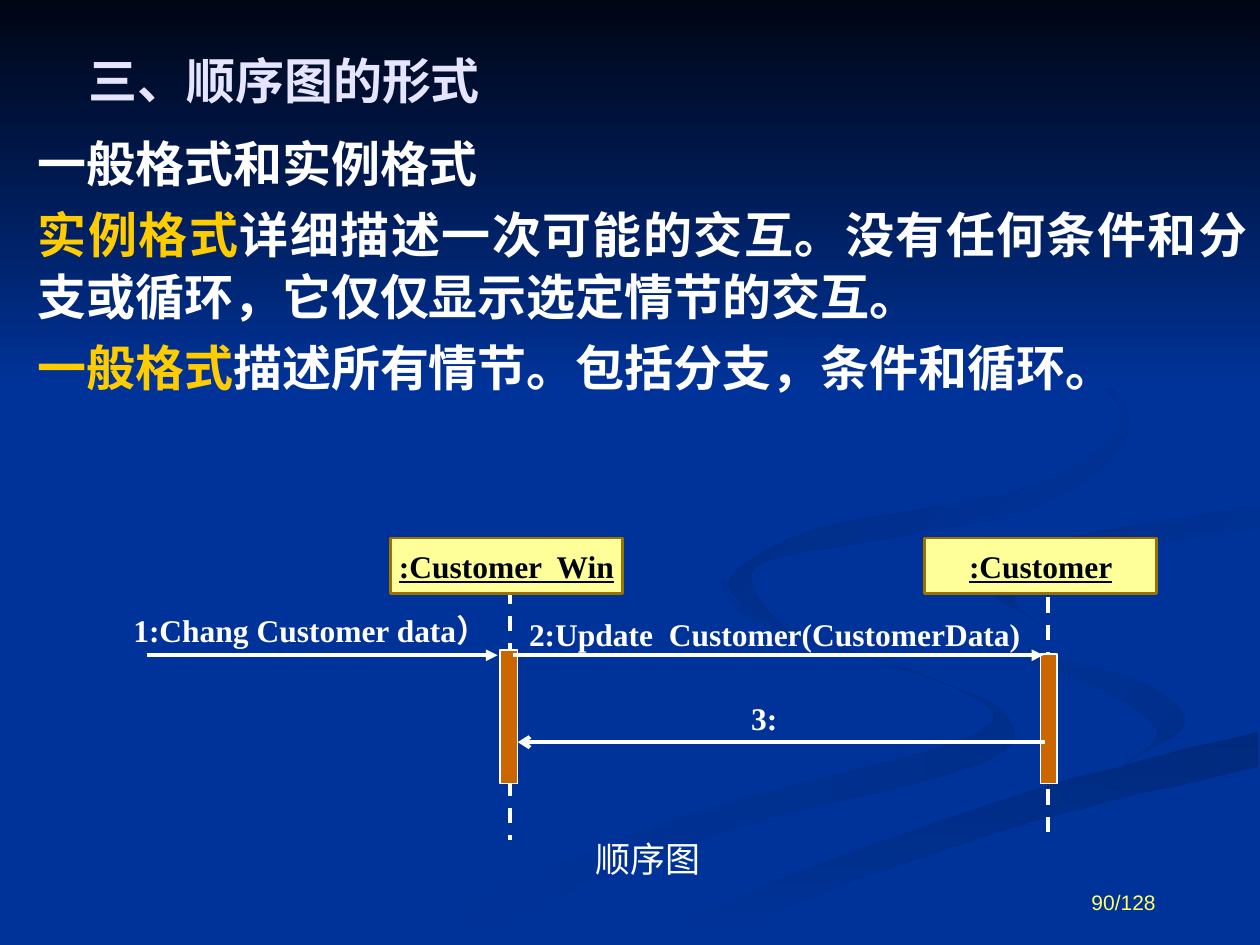
from pptx import Presentation
from pptx.dml.color import RGBColor as RGB
from pptx.enum.dml import MSO_LINE as Dash
from pptx.enum.shapes import MSO_CONNECTOR as Conn, MSO_SHAPE as Kind
from pptx.enum.text import MSO_ANCHOR as Anchor, PP_ALIGN as Align
from pptx.oxml.ns import qn
from pptx.util import Pt
from lxml.etree import SubElement as sub

BLUE = RGB(0x00, 0x33, 0x99)
NIGHT = RGB(0x00, 0x05, 0x14)
DIM = RGB(0x00, 0x2E, 0x8B)
DEEP = RGB(0x00, 0x2A, 0x7D)
SHADE = RGB(0x00, 0x2D, 0x86)
DARK = RGB(0x00, 0x2B, 0x82)
WHITE = RGB(0xFF, 0xFF, 0xFF)
LILAC = RGB(0xE5, 0xE5, 0xFF)
GOLD = RGB(0xFF, 0xCC, 0x00)
CREAM = RGB(0xFF, 0xFF, 0x99)
BROWN = RGB(0x9A, 0x72, 0x00)
RUST = RGB(0xCC, 0x66, 0x00)
LEMON = RGB(0xFF, 0xFF, 0x66)

SANS = "Noto Sans CJK SC"
SERIF = "Times New Roman"

RIBBONS = [
    (BLUE, DIM, 0,
     [(414, 330), (433, 356), (541, 391), (557, 420), (388, 467), (216, 539)],
     [(260, 539), (406, 478), (562, 436), (570, 404), (491, 374), (420, 343), (414, 330)]),
    (BLUE, DIM, 45,
     [(521, 334), (537, 360), (625, 392), (661, 418), (644, 436)],
     [(644, 436), (679, 410), (639, 385), (536, 353), (521, 334)]),
    (DEEP, BLUE, 90,
     [(362, 539), (454, 499), (598, 449), (719, 418)],
     [(719, 438), (591, 469), (467, 511), (411, 539)]),
    (BLUE, BLUE, 0,
     [(719, 279), (582, 300), (522, 334), (558, 362), (662, 394), (662, 430), (507, 472), (343, 539)],
     [(362, 539), (454, 499), (598, 449), (719, 418)],
     [(719, 387), (599, 359), (562, 333), (612, 307), (719, 289)]),
    (SHADE, BLUE, 45,
     [(719, 289), (612, 307), (562, 331), (595, 357)],
     [(595, 357), (580, 340), (618, 319), (719, 302)]),
    (DARK, BLUE, 45,
     [(549, 168), (622, 210), (644, 248), (594, 289), (492, 310), (430, 325), (448, 360)],
     [(448, 360), (416, 333), (467, 302), (589, 278), (640, 241), (609, 201), (549, 168)]),
    (NIGHT, BLUE, 90, [(0, 0), (720, 0)], [(720, 222), (0, 222)]),
]


def smooth(dots, steps=5):
    ends = [dots[0], *dots, dots[-1]]
    path = []
    for a, b, c, d in zip(ends, ends[1:], ends[2:], ends[3:]):
        for k in range(steps):
            t = k / steps
            path.append(tuple(
                q + t * ((r - p) + t * ((2 * p - 5 * q + 4 * r - s) + t * (3 * q - p - 3 * r + s))) / 2
                for p, q, r, s in zip(a, b, c, d)))
    return path + [dots[-1]]


def ribbon(slide, start, stop, angle, *edges):
    dots = [dot for edge in edges for dot in smooth(edge)]
    pen = slide.shapes.build_freeform(*dots[0], scale=Pt(1))
    pen.add_line_segments(dots[1:], close=True)
    shape = pen.convert_to_shape()
    shape.shadow.inherit = False
    shape.line.fill.background()
    if start == stop:
        shape.fill.solid()
        shape.fill.fore_color.rgb = start
        return
    shape.fill.gradient()
    shape.fill.gradient_angle = -angle % 360
    for mark, color in zip(shape.fill.gradient_stops, (start, stop)):
        mark.color.rgb = color


def style(run, size, color, face=SERIF, bold=True):
    font = run.font
    font.size, font.bold, font.name = Pt(size), bold, face
    font.color.rgb = color
    sub(run._r.get_or_add_rPr(), qn("a:ea"), typeface=SANS)


def label(slide, box, text, size, color, face=SERIF, bold=True, align=Align.LEFT):
    frame = slide.shapes.add_textbox(*map(Pt, box)).text_frame
    frame.word_wrap = True
    frame.text = text
    para = frame.paragraphs[0]
    para.alignment = align
    style(para.runs[0], size, color, face, bold)
    return frame


def body(slide, box, rows):
    frame = slide.shapes.add_textbox(*map(Pt, box)).text_frame
    frame.word_wrap = True
    for i, row in enumerate(rows):
        para = frame.add_paragraph() if i else frame.paragraphs[0]
        para.alignment = Align.JUSTIFY
        para.line_spacing = Pt(35.4)
        if i:
            para.space_before = Pt(5.2)
        for text, color in row:
            run = para.add_run()
            run.text = text
            style(run, 28, color, SANS)


def block(slide, box, fill, edge, width, text=""):
    shape = slide.shapes.add_shape(Kind.RECTANGLE, *map(Pt, box))
    shape.shadow.inherit = False
    shape.fill.solid()
    shape.fill.fore_color.rgb = fill
    shape.line.color.rgb = edge
    shape.line.width = Pt(width)
    if text:
        frame = shape.text_frame
        frame.word_wrap = False
        frame.vertical_anchor = Anchor.MIDDLE
        frame.text = text
        para = frame.paragraphs[0]
        para.alignment = Align.CENTER
        style(para.runs[0], 18, NIGHT)
        para.runs[0].font.underline = True


def line(slide, ends, head=None):
    wire = slide.shapes.add_connector(Conn.STRAIGHT, *map(Pt, ends))
    wire.line.color.rgb = WHITE
    wire.line.width = Pt(2.25)
    if head:
        sub(wire.line._get_or_add_ln(), qn("a:tailEnd"), type=head)
    else:
        wire.line.dash_style = Dash.DASH
    sub(wire._element.spPr, qn("a:effectLst"))


def main():
    deck = Presentation()
    deck.slide_width, deck.slide_height = Pt(720), Pt(540)
    slide = deck.slides.add_slide(deck.slide_layouts[6])
    slide.background.fill.solid()
    slide.background.fill.fore_color.rgb = BLUE
    for item in RIBBONS:
        ribbon(slide, *item)

    body(slide, (14.4, 71, 705.6, 206), [
        [("一般格式和实例格式", WHITE)],
        [("实例格式", GOLD),
         ("详细描述一次可能的交互。没有任何条件和分支或循环，它仅仅显示选定情节的交互。", WHITE)],
        [("一般格式", GOLD), ("描述所有情节。包括分支，条件和循环。", WHITE)],
    ])
    title = label(slide, (19.4, 25.5, 457, 41), "三、顺序图的形式", 28, LILAC, SANS)
    title.margin_left = Pt(31.2)

    line(slide, (599, 341.3, 599, 476))
    line(slide, (291.6, 336.2, 291.6, 480.2))
    for left, name in ((223.2, ":Customer  Win"), (528.5, ":Customer")):
        block(slide, (left, 307.4, 132.5, 31.7), CREAM, BROWN, 1.5, name)
    for box in ((285.8, 371.5, 10.1, 76.3), (594.7, 373.7, 9.4, 74.2)):
        block(slide, box, RUST, WHITE, 0.75)

    line(slide, (84.2, 374.4, 284.4, 374.4), "triangle")
    line(slide, (293, 374.4, 596.2, 374.4), "triangle")
    line(slide, (596.9, 424.1, 295.9, 424.1), "arrow")
    label(slide, (69.1, 345.5, 230.4, 28.8), "1:Chang Customer data）", 18, WHITE)
    label(slide, (295.2, 348, 317.5, 28.8), "2:Update  Customer(CustomerData)", 18, WHITE)
    label(slide, (383.8, 396, 105.8, 28.8), "3:", 18, WHITE, align=Align.CENTER)

    note = label(slide, (249.8, 477.5, 241.2, 28.8), "顺序图", 20, WHITE, SANS, False, Align.CENTER)
    note.paragraphs[0].line_spacing = 0.9
    page = label(slide, (499.7, 488.9, 167.8, 37.4), "90/128", 12, LEMON, "Arial", False, Align.RIGHT)
    page.vertical_anchor = Anchor.BOTTOM
    deck.save("out.pptx")


if __name__ == "__main__":
    main()
